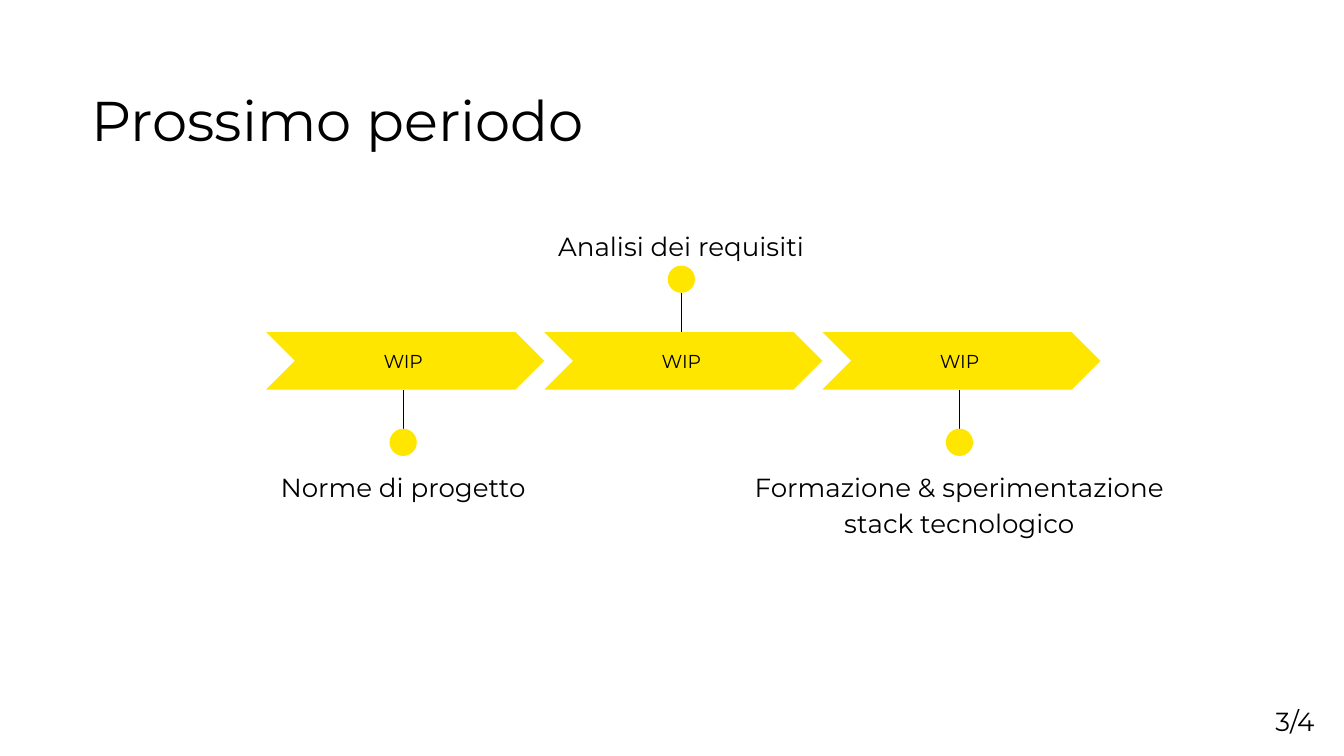
from lxml import etree
from pptx import Presentation
from pptx.dml.color import RGBColor
from pptx.enum.shapes import MSO_CONNECTOR, MSO_SHAPE
from pptx.enum.text import MSO_ANCHOR as Anchor, PP_ALIGN as Align
from pptx.oxml.ns import qn
from pptx.util import Pt

# Content
TITLE = "Prossimo periodo"
PAGE = "3/4"
# status, status width, label, label width, label height, label above the band
PHASES = [
    ("WIP", 67, "Norme di progetto", 196, 35, False),
    ("WIP", 67, "Analisi dei requisiti", 158, 31, True),
    ("WIP", 92, "Formazione & sperimentazione stack tecnologico", 234, 49, False),
]

# Style
FONT = "Montserrat"
BLACK = RGBColor(0x00, 0x00, 0x00)
YELLOW = RGBColor(0xFF, 0xE6, 0x00)
WHITE = RGBColor(0xFF, 0xFF, 0xFF)

# Geometry in points
BAND_LEFT, BAND_TOP, BAND_HEIGHT = 142.6, 177.9, 30.8
PHASE_WIDTH = 149
CENTER_OFFSET = 73.4
STEM = 21
DOT = 14.6
STATUS_HEIGHT = 26.6
LABEL_ABOVE_TOP, LABEL_BELOW_TOP = 113.8, 242.6


def write(shape, text, size, align, anchor=Anchor.TOP, spacing=1.0):
    frame = shape.text_frame
    frame.word_wrap = True
    frame.vertical_anchor = anchor
    frame.margin_left = frame.margin_right = Pt(7.2)
    frame.margin_top = frame.margin_bottom = Pt(7.2)
    paragraph = frame.paragraphs[0]
    paragraph.alignment = align
    paragraph.line_spacing = spacing
    paragraph.space_before = Pt(0)
    run = paragraph.add_run()
    run.text = text
    run.font.name = FONT
    run.font.size = Pt(size)
    run.font.color.rgb = BLACK


def add_text(slide, left, top, width, height, *style):
    box = slide.shapes.add_textbox(Pt(left), Pt(top), Pt(width), Pt(height))
    write(box, *style)


def add_yellow(slide, kind, left, top, width, height):
    shape = slide.shapes.add_shape(kind, Pt(left), Pt(top), Pt(width), Pt(height))
    shape.shadow.inherit = False
    shape.fill.solid()
    shape.fill.fore_color.rgb = YELLOW
    shape.line.fill.background()
    return shape


def add_stem(slide, center, start, end):
    stem = slide.shapes.add_connector(
        MSO_CONNECTOR.STRAIGHT, Pt(center), Pt(start), Pt(center), Pt(end))
    stem.line.color.rgb = BLACK
    stem.line.width = Pt(0.75)
    etree.SubElement(stem._element.spPr, qn("a:effectLst"))


def add_phase(slide, index, phase):
    status, status_width, label, label_width, label_height, above = phase
    left = BAND_LEFT + index * PHASE_WIDTH
    center = left + CENTER_OFFSET

    # Chevron with its status
    chevron = add_yellow(slide, MSO_SHAPE.CHEVRON, left, BAND_TOP, PHASE_WIDTH, BAND_HEIGHT)
    chevron.adjustments[0] = 0.5
    add_text(slide, center - status_width / 2,
             BAND_TOP + (BAND_HEIGHT - STATUS_HEIGHT) / 2, status_width, STATUS_HEIGHT,
             status, 10, Align.CENTER, Anchor.MIDDLE)

    # Stem and dot on the label's side
    if above:
        edge, tip = BAND_TOP, BAND_TOP - STEM
        dot_top, label_top = tip - DOT, LABEL_ABOVE_TOP
    else:
        edge = BAND_TOP + BAND_HEIGHT
        tip = edge + STEM
        dot_top, label_top = tip, LABEL_BELOW_TOP
    add_stem(slide, center, tip, edge)
    add_yellow(slide, MSO_SHAPE.OVAL, center - DOT / 2, dot_top, DOT, DOT)

    # Label
    add_text(slide, center - label_width / 2, label_top, label_width, label_height,
             label, 14, Align.CENTER, Anchor.TOP, 1.15)


def main():
    presentation = Presentation()
    presentation.slide_width, presentation.slide_height = Pt(720), Pt(405)
    slide = presentation.slides.add_slide(presentation.slide_layouts[5])
    slide.background.fill.solid()
    slide.background.fill.fore_color.rgb = WHITE

    # Title
    title = slide.shapes.title
    title.left, title.top, title.width, title.height = Pt(42), Pt(12.2), Pt(318), Pt(103.7)
    write(title, TITLE, 30, Align.LEFT, Anchor.MIDDLE)

    # Timeline
    for index, phase in enumerate(PHASES):
        add_phase(slide, index, phase)

    # Page number
    add_text(slide, 659.5, 370.8, 51.8, 25.2, PAGE, 14, Align.RIGHT)

    presentation.save("out.pptx")


if __name__ == "__main__":
    main()
